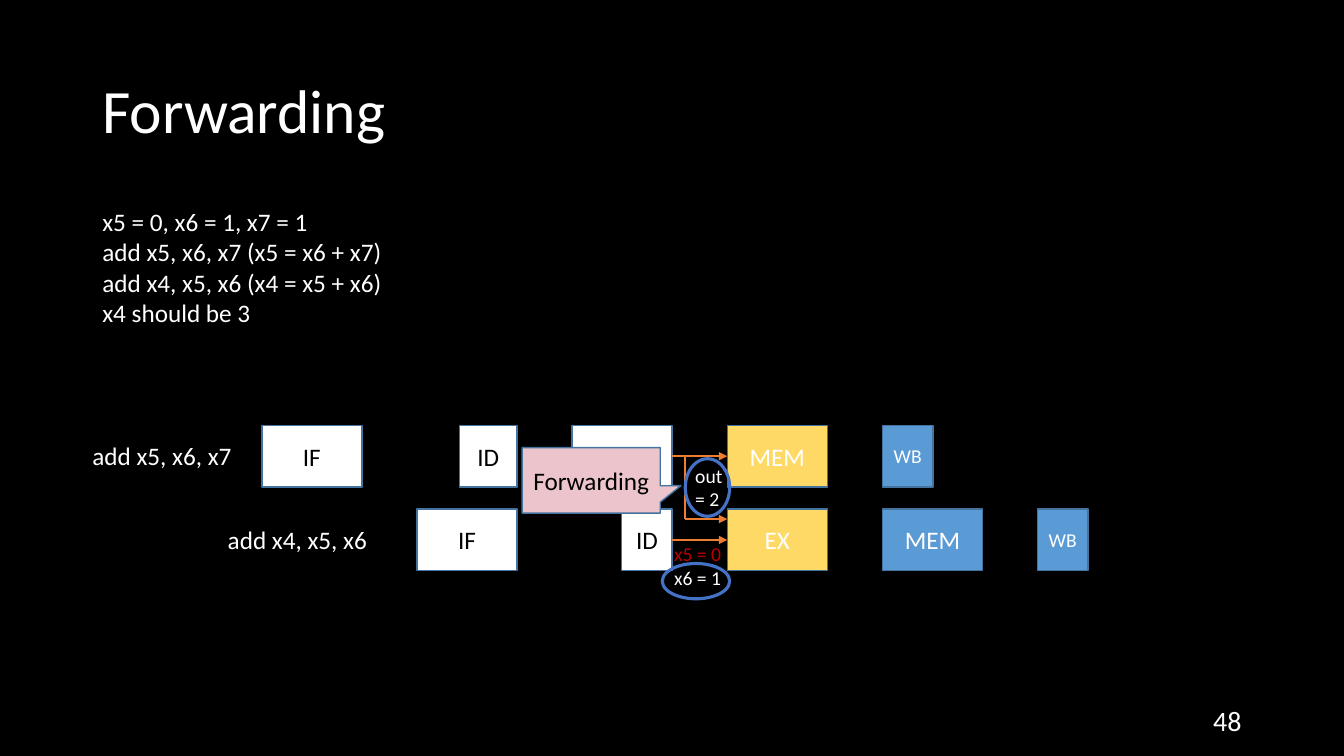
import pptx
import pptx.util
import pptx.dml.color
import pptx.enum.shapes
import pptx.enum.text
import lxml.etree
from dataclasses import dataclass
from pptx.util import Cm

SHAPE = pptx.enum.shapes.MSO_SHAPE
ALIGN = pptx.enum.text.PP_ALIGN
ANCHOR = pptx.enum.text.MSO_ANCHOR


@dataclass(frozen=True)
class Theme:
    font: str = "Calibri"
    background: str = "000000"
    light: str = "FFFFFF"
    dark: str = "000000"
    done: str = "FFFFFF"
    active: str = "FFD966"
    pending: str = "5B9BD5"
    outline: str = "43739E"
    arrow: str = "ED7D31"
    ring: str = "4472C4"
    callout: str = "EBC5CB"
    stale: str = "C00000"
    title_size: int = 44
    number_size: int = 20
    body_size: int = 18
    small_size: int = 14


theme = Theme()


def rgb(value):
    return pptx.dml.color.RGBColor.from_string(value)


def write(shape, text, size, color, align=ALIGN.LEFT, anchor=ANCHOR.TOP, wrap=True):
    frame = shape.text_frame
    frame.text = text
    frame.word_wrap = wrap
    frame.vertical_anchor = anchor
    for paragraph in frame.paragraphs:
        paragraph.alignment = align
        for run in paragraph.runs:
            run.font.name = theme.font
            run.font.size = pptx.util.Pt(size)
            run.font.color.rgb = rgb(color)


deck = pptx.Presentation()
deck.slide_width = Cm(33.87)
deck.slide_height = Cm(19.05)
slide = deck.slides.add_slide(deck.slide_layouts[6])
slide.background.fill.solid()
slide.background.fill.fore_color.rgb = rgb(theme.background)
shapes = slide.shapes

title = shapes.add_textbox(Cm(2.33), Cm(1.01), Cm(29.21), Cm(3.68))
write(title, "Forwarding", theme.title_size, theme.light, anchor=ANCHOR.MIDDLE)
title.text_frame.paragraphs[0].line_spacing = 0.9

program = shapes.add_textbox(Cm(2.33), Cm(5.08), Cm(22.3), Cm(3.33))
write(program, "x5 = 0, x6 = 1, x7 = 1\nadd x5, x6, x7 (x5 = x6 + x7)\n"
      "add x4, x5, x6 (x4 = x5 + x6)\nx4 should be 3", theme.body_size, theme.light)

page_number = shapes.add_textbox(Cm(23.92), Cm(17.65), Cm(7.62), Cm(1.01))
write(page_number, "48", theme.number_size, theme.light, ALIGN.RIGHT, ANCHOR.MIDDLE)

first_cycle, cycle_pitch = 6.6, 3.91
first_row, row_pitch = 10.72, 2.11
full_width, half_width, stage_height = 2.52, 1.27, 1.55
stage_names = ["IF", "ID", "EX", "MEM", "WB"]
active_cycle = 3

stages = {}
for row, (instruction, label_left, id_width) in enumerate([
    ("add x5, x6, x7", 2.08, 1.45),
    ("add x4, x5, x6", 5.49, half_width),
]):
    top = first_row + row * row_pitch
    label = shapes.add_textbox(Cm(label_left), Cm(top + 0.26), Cm(4.06), Cm(1.03))
    write(label, instruction, theme.body_size, theme.light, wrap=False)
    for step, name in enumerate(stage_names):
        cycle = row + step
        left = first_cycle + cycle * cycle_pitch
        width = {"ID": id_width, "WB": half_width}.get(name, full_width)
        if name == "ID":
            left += full_width - width
        if cycle < active_cycle:
            fill, ink = theme.done, theme.dark
        elif cycle == active_cycle:
            fill, ink = theme.active, theme.light
        else:
            fill, ink = theme.pending, theme.light
        stage = shapes.add_shape(SHAPE.RECTANGLE, Cm(left), Cm(top), Cm(width), Cm(stage_height))
        stage.shadow.inherit = False
        stage.fill.solid()
        stage.fill.fore_color.rgb = rgb(fill)
        stage.line.color.rgb = rgb(theme.outline)
        stage.line.width = pptx.util.Pt(1)
        size = theme.small_size if name == "WB" else theme.body_size
        write(stage, name, size, ink, ALIGN.CENTER, ANCHOR.MIDDLE)
        stages[row, name] = stage

operands = shapes.add_textbox(Cm(16.74), Cm(13.54), Cm(2.24), Cm(1.45))
write(operands, "x5 = 0\nx6 = 1", theme.small_size, theme.light)
operands.text_frame.paragraphs[0].runs[0].font.color.rgb = rgb(theme.stale)

result = shapes.add_textbox(Cm(17.27), Cm(11.56), Cm(2.24), Cm(1.45))
write(result, "out\n= 2", theme.small_size, theme.light)

branch_x, branch_top, branch_bottom = 17.27, first_row + stage_height / 2, 13.08
execute_left = first_cycle + active_cycle * cycle_pitch
for start, end, source, target, has_head in [
    ((16.94, branch_top), (execute_left, branch_top), stages[0, "EX"], stages[0, "MEM"], True),
    ((16.94, branch_top + row_pitch), (execute_left, branch_top + row_pitch),
     stages[1, "ID"], stages[1, "EX"], True),
    ((branch_x, branch_top), (branch_x, branch_bottom), None, None, False),
    ((branch_x, branch_bottom), (execute_left, branch_bottom), None, None, True),
]:
    signal = shapes.add_connector(pptx.enum.shapes.MSO_CONNECTOR.STRAIGHT,
                                  Cm(start[0]), Cm(start[1]), Cm(end[0]), Cm(end[1]))
    if source is not None:
        signal.begin_connect(source, 3)
        signal.end_connect(target, 1)
    signal.line.color.rgb = rgb(theme.arrow)
    signal.line.width = pptx.util.Pt(1.5)
    if has_head:
        lxml.etree.SubElement(signal.line._get_or_add_ln(), pptx.oxml.ns.qn("a:tailEnd"), type="triangle")
    lxml.etree.SubElement(signal._element.spPr, pptx.oxml.ns.qn("a:effectLst"))

callout = shapes.add_shape(SHAPE.RECTANGULAR_CALLOUT, Cm(13.16), Cm(11.28), Cm(3.48), Cm(1.65))
callout.adjustments[0] = 0.65
callout.adjustments[1] = 0.08
callout.shadow.inherit = False
callout.fill.solid()
callout.fill.fore_color.rgb = rgb(theme.callout)
callout.line.color.rgb = rgb(theme.outline)
callout.line.width = pptx.util.Pt(1)
write(callout, "Forwarding", theme.body_size, theme.dark, ALIGN.CENTER, ANCHOR.MIDDLE)

for left, top, width, height in [(17.27, 11.56, 1.12, 1.45), (16.69, 14.2, 1.7, 0.89)]:
    ring = shapes.add_shape(SHAPE.OVAL, Cm(left), Cm(top), Cm(width), Cm(height))
    ring.shadow.inherit = False
    ring.fill.background()
    ring.line.color.rgb = rgb(theme.ring)
    ring.line.width = pptx.util.Pt(2.25)

deck.save("out.pptx")
